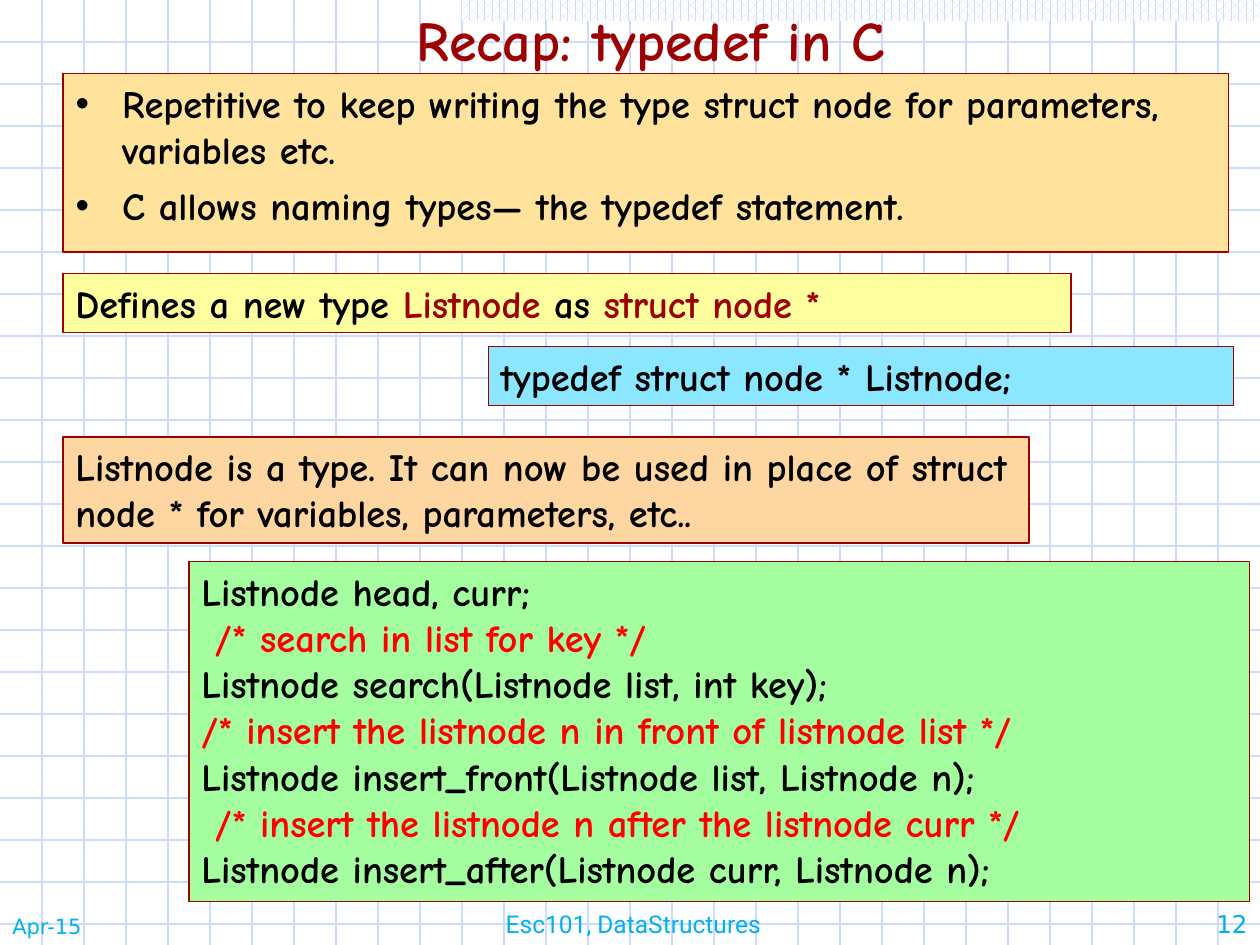
from lxml import etree
from pptx import Presentation, util as u
from pptx.dml.color import RGBColor
from pptx.enum import dml, shapes, text
from pptx.oxml.ns import qn

BLACK = RGBColor(0x00, 0x00, 0x00)
WHITE = RGBColor(0xFF, 0xFF, 0xFF)
MAROON = RGBColor(0x9D, 0x00, 0x00)
RED = RGBColor(0xFF, 0x00, 0x00)
SKY = RGBColor(0x00, 0xB0, 0xF0)
PALE_BLUE = RGBColor(0xCF, 0xDB, 0xFD)
GOLD = RGBColor(0xFF, 0xE3, 0x9D)
YELLOW = RGBColor(0xFF, 0xFF, 0x9F)
CYAN = RGBColor(0x8B, 0xE6, 0xFF)
PEACH = RGBColor(0xFD, 0xD6, 0xA1)
GREEN = RGBColor(0xA4, 0xFE, 0xA0)

COLUMNS, ROWS = 120, 90
LEFT, CENTER, RIGHT = text.PP_ALIGN.LEFT, text.PP_ALIGN.CENTER, text.PP_ALIGN.RIGHT
TOP, MIDDLE, BOTTOM = text.MSO_ANCHOR.TOP, text.MSO_ANCHOR.MIDDLE, text.MSO_ANCHOR.BOTTOM


def write(frame, lines, size=22, font="Comic Neue", bold=True, color=BLACK,
          align=LEFT, anchor=TOP):
    """Fill a frame; each line is a list of words or (words, color) pairs."""
    frame.auto_size = text.MSO_AUTO_SIZE.NONE
    frame.word_wrap = True
    frame.vertical_anchor = anchor
    for number, line in enumerate(lines):
        paragraph = frame.add_paragraph() if number else frame.paragraphs[0]
        paragraph.alignment = align
        for part in line:
            words, ink = part if isinstance(part, tuple) else (part, color)
            run = paragraph.add_run()
            run.text = words
            run.font.size = u.Pt(size)
            run.font.name = font
            run.font.bold = bold
            run.font.color.rgb = ink


def add_bullet(paragraph, indent):
    properties = paragraph._p.get_or_add_pPr()
    properties.set("marL", str(indent))
    properties.set("indent", str(-indent))
    bullet_color = etree.SubElement(properties, qn("a:buClr"))
    etree.SubElement(bullet_color, qn("a:srgbClr"), val=str(BLACK))
    etree.SubElement(properties, qn("a:buChar"), char="•")


class RecapSlide:
    def __init__(self, deck):
        self.cell_width = deck.slide_width / COLUMNS
        self.cell_height = deck.slide_height / ROWS
        self.slide = deck.slides.add_slide(deck.slide_layouts[1])

    def area(self, column, row, width, height):
        return (u.Emu(round(column * self.cell_width)), u.Emu(round(row * self.cell_height)),
                u.Emu(round(width * self.cell_width)), u.Emu(round(height * self.cell_height)))

    def place(self, shape, cells):
        shape.left, shape.top, shape.width, shape.height = self.area(*cells)

    def paint(self, shape, fill):
        shape.fill.solid()
        shape.fill.fore_color.rgb = fill
        shape.line.color.rgb = MAROON
        shape.line.width = u.Pt(0.75)

    def rectangle(self, cells):
        shape = self.slide.shapes.add_shape(shapes.MSO_SHAPE.RECTANGLE, *self.area(*cells))
        shape.shadow.inherit = False
        return shape

    def send_to_back(self, shape):
        self.slide.shapes._spTree.insert(2, shape._element)

    def pattern_band(self, cells):
        band = self.rectangle(cells)
        band.fill.patterned()
        band.fill.pattern = dml.MSO_PATTERN.PERCENT_60
        band.fill.fore_color.rgb = PALE_BLUE
        band.fill.back_color.rgb = WHITE
        band.line.fill.background()
        self.send_to_back(band)

    def rule(self, start, end):
        line = self.slide.shapes.add_connector(
            shapes.MSO_CONNECTOR.STRAIGHT, *self.area(*start, *end))
        line.line.color.rgb = PALE_BLUE
        line.line.width = u.Pt(0.75)
        etree.SubElement(line._element.spPr, qn("a:effectLst"))
        self.send_to_back(line)

    def graph_paper(self, step):
        for row in range(step, ROWS, step):
            self.rule((0, row), (COLUMNS, row))
        for column in range(step, COLUMNS, step):
            self.rule((column, 0), (column, ROWS))

    def title(self, words, cells):
        heading = self.slide.shapes.title
        self.place(heading, cells)
        write(heading.text_frame, [[words]], size=32, color=MAROON,
              align=CENTER, anchor=MIDDLE)

    def bullets(self, items, cells, fill):
        body = self.slide.placeholders[1]
        self.place(body, cells)
        self.paint(body, fill)
        write(body.text_frame, [[item] for item in items])
        for number, paragraph in enumerate(body.text_frame.paragraphs):
            paragraph.space_before = u.Pt(5.5 if number else 0)
            add_bullet(paragraph, u.Inches(0.37))

    def panel(self, lines, cells, fill):
        box = self.rectangle(cells)
        self.paint(box, fill)
        write(box.text_frame, lines)

    def footer(self, words, cells, **style):
        note = self.slide.shapes.add_textbox(*self.area(*cells))
        write(note.text_frame, [[words]], bold=False, color=SKY, anchor=BOTTOM, **style)


def main():
    deck = Presentation()
    deck.slide_width, deck.slide_height = u.Inches(10), u.Inches(7.5)
    recap = RecapSlide(deck)

    recap.pattern_band((44, 0, 76, 2))
    recap.graph_paper(4)
    recap.title("Recap: typedef in C", (31, -0.05, 62, 7.55))
    recap.bullets(
        ["Repetitive to keep writing the type struct node for parameters, variables etc.",
         "C allows naming types— the typedef statement."],
        (6, 7, 111, 17), GOLD)
    recap.panel(
        [["Listnode head, curr;"],
         [(" /* search in list for key */", RED)],
         ["Listnode search(Listnode list, int key);"],
         [("/* insert the listnode n in front of listnode list */", RED)],
         ["Listnode insert_front(Listnode list, Listnode n);"],
         [(" /* insert the listnode n after the listnode curr */", RED)],
         ["Listnode insert_after(Listnode curr, Listnode n);"]],
        (18, 53.5, 101, 32.35), GREEN)
    recap.panel(
        [["Defines a new type ", ("Listnode ", MAROON), "as ", ("struct node *", MAROON)]],
        (6, 26.05, 96, 5.65), YELLOW)
    recap.panel(
        [["Listnode is a type. It can now be used in place of struct node * "
          "for variables, parameters, etc.."]],
        (6, 41.63, 92, 10.1), PEACH)
    recap.panel([["typedef struct node * Listnode;"]], (46.5, 33, 71, 5.65), CYAN)

    recap.footer("Apr-15", (0, 84, 25, 6), size=12, font="DejaVu Sans")
    recap.footer("Esc101, DataStructures", (38.67, 84, 43.33, 6), size=14, font="Roboto",
                 align=CENTER)
    recap.footer("12", (95, 84, 25, 6), size=14, font="DejaVu Sans", align=RIGHT)
    deck.save("out.pptx")


if __name__ == "__main__":
    main()
